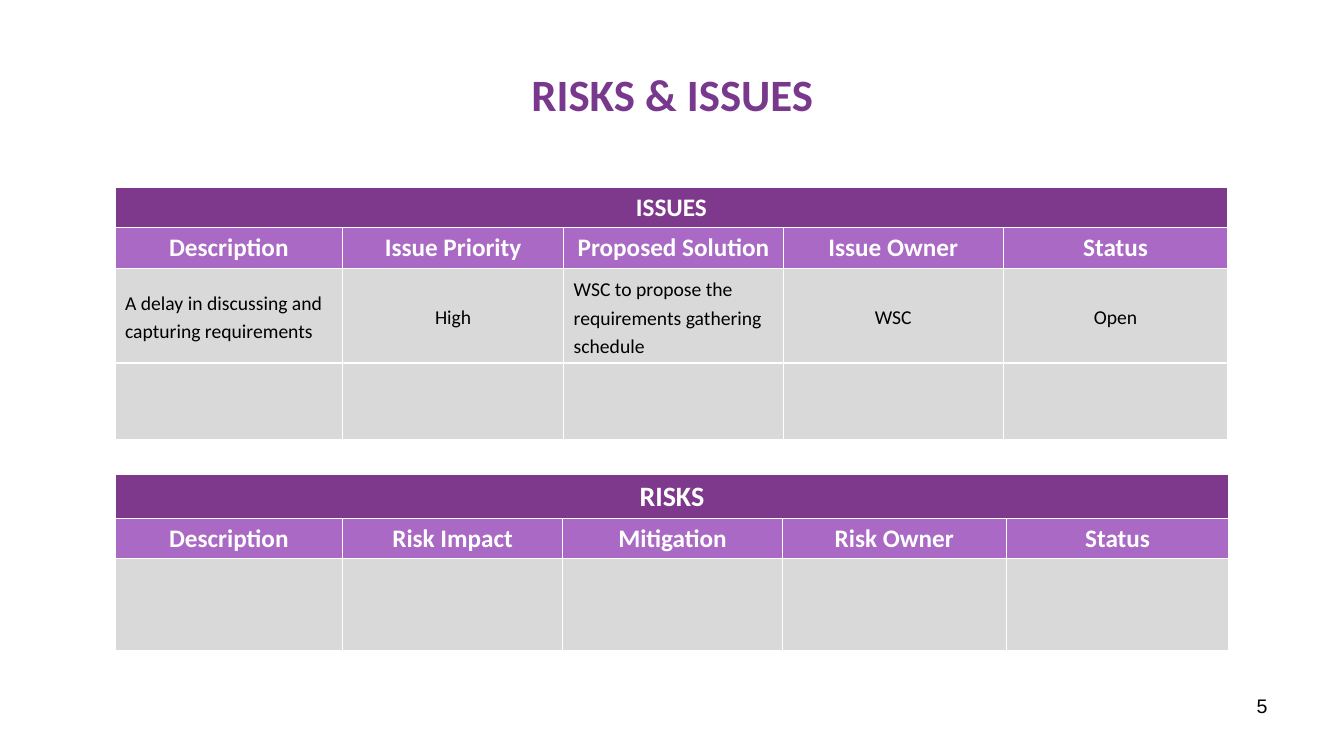
from lxml.etree import SubElement
from pptx import Presentation
from pptx.dml.color import RGBColor
from pptx.enum.text import MSO_ANCHOR as Anchor, PP_ALIGN as Align
from pptx.oxml.ns import qn
from pptx.util import Inches, Pt

COLORS = {
    "title": "78398D",
    "banner": "7F398C",
    "header": "A969C4",
    "body": "D9D9D9",
    "white": "FFFFFF",
    "black": "000000",
}
LEFT_ALIGNED = ("Description", "Proposed Solution")


def rgb(name):
    return RGBColor.from_string(COLORS[name])


def write(tf, text, size, color, align, font="Calibri", bold=False):
    p = tf.paragraphs[0]
    p.text = text
    p.alignment = align
    p.font.size = Pt(size)
    for r in p.runs:
        r.font.name = font
        r.font.size = Pt(size)
        r.font.bold = bold
        r.font.color.rgb = rgb(color)
    return p


def add_text(s, box, text, size, color, align, anchor, font="Calibri", bold=False):
    tf = s.shapes.add_textbox(*map(Inches, box)).text_frame
    tf.word_wrap = True
    tf.vertical_anchor = anchor
    write(tf, text, size, color, align, font, bold)


def style_cell(cell, fill):
    tcPr = cell._tc.get_or_add_tcPr()
    for side in ("lnL", "lnR", "lnT", "lnB"):
        ln = SubElement(tcPr, qn(f"a:{side}"), w=str(Pt(1)))
        SubElement(SubElement(ln, qn("a:solidFill")), qn("a:srgbClr"), val=COLORS["white"])
    cell.fill.solid()
    cell.fill.fore_color.rgb = rgb(fill)


def add_log(s, top, widths, heights, banner, banner_size, headers, entries):
    frame = s.shapes.add_table(len(heights), len(widths), Inches(1.14), Inches(top),
                               Inches(sum(widths)), Inches(sum(heights)))
    table = frame.table
    for column, width in zip(table.columns, widths):
        column.width = Inches(width)
    for row, height in zip(table.rows, heights):
        row.height = Inches(height)

    fills = ["banner", "header"] + ["body"] * (len(heights) - 2)
    for row, fill in zip(table.rows, fills):
        for cell in row.cells:
            style_cell(cell, fill)

    title = table.cell(0, 0)
    title.merge(table.cell(0, len(widths) - 1))
    write(title.text_frame, banner, banner_size, "white", Align.CENTER, bold=True)
    for col, header in enumerate(headers):
        write(table.cell(1, col).text_frame, header, 18, "white", Align.CENTER, bold=True)
    for row, entry in enumerate(entries, 2):
        for col, text in enumerate(entry):
            cell = table.cell(row, col)
            cell.vertical_anchor = Anchor.MIDDLE
            align = Align.LEFT if headers[col] in LEFT_ALIGNED else Align.CENTER
            write(cell.text_frame, text, 14, "black", align).line_spacing = 1.2


def main():
    prs = Presentation()
    prs.slide_width, prs.slide_height = Inches(13.33), Inches(7.5)
    s = prs.slides.add_slide(prs.slide_layouts[6])

    add_text(s, (0.67, 0.3, 12, 1.25), "RISKS & ISSUES", 32, "title",
             Align.CENTER, Anchor.MIDDLE, bold=True)
    add_log(s, 1.86, [2.26, 2.19, 2.18, 2.18, 2.23], [0.4, 0.4, 0.76, 0.76],
            "ISSUES", 18,
            ["Description", "Issue Priority", "Proposed Solution", "Issue Owner", "Status"],
            [["A delay in discussing and capturing requirements", "High",
              "WSC to propose the requirements gathering schedule", "WSC", "Open"]])
    add_log(s, 4.71, [2.26, 2.18, 2.18, 2.22, 2.21], [0.43, 0.4, 0.91],
            "RISKS", 20,
            ["Description", "Risk Impact", "Mitigation", "Risk Owner", "Status"], [])
    add_text(s, (9.56, 6.83, 3.11, 0.52), "5", 14, "black",
             Align.RIGHT, Anchor.TOP, font="Arial")

    prs.save("out.pptx")


if __name__ == "__main__":
    main()
